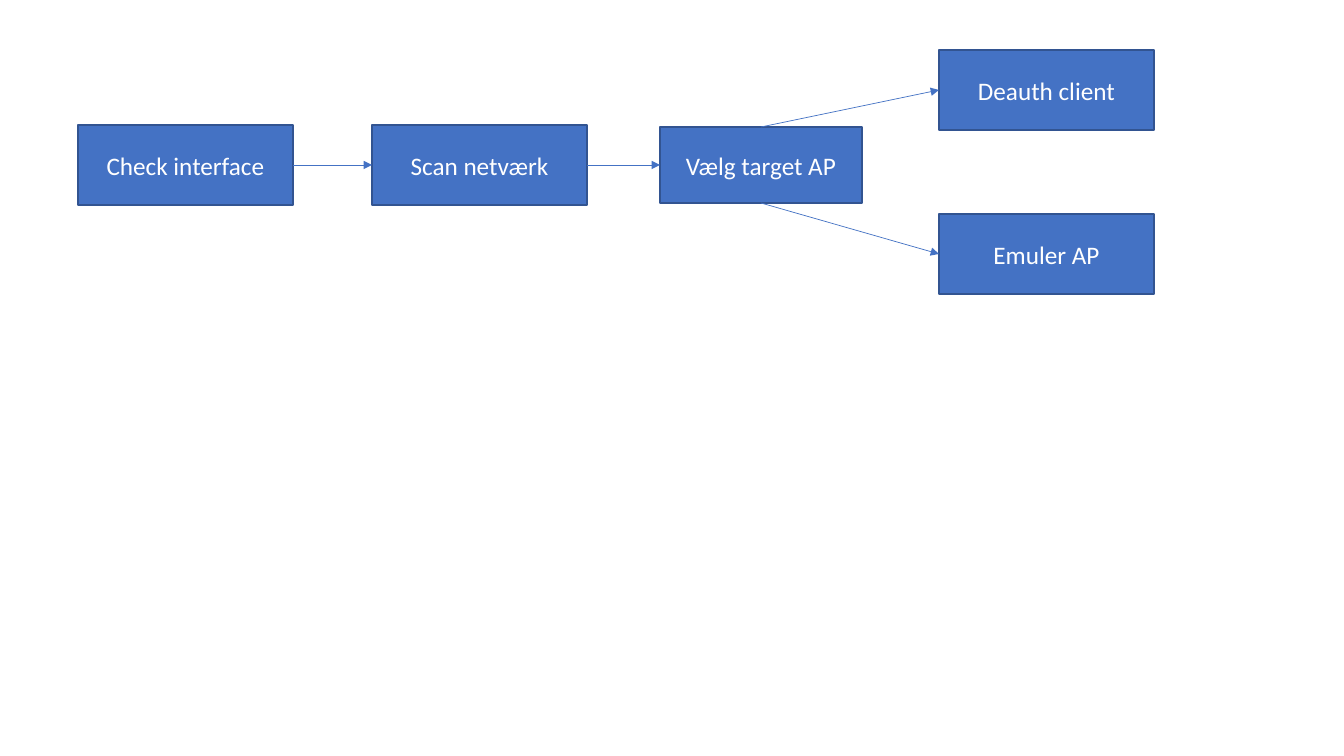
from pptx import Presentation
from pptx import util as u
from pptx.dml.color import RGBColor
from pptx.enum import shapes, text
from pptx.oxml.ns import qn
from lxml import etree

# Content: step -> left, top, width, height in pixels
STEPS = {
    "Check interface": (78, 125, 215, 80),
    "Scan netværk": (372, 125, 215, 80),
    "Vælg target AP": (660, 127, 202, 76),
    "Deauth client": (939, 50, 215, 80),
    "Emuler AP": (939, 214, 215, 80),
}
# Connection sites of a rectangle
TOP, LEFT, BOTTOM, RIGHT = range(4)
# Every arrow enters its target from the left
ARROWS = [
    ("Check interface", RIGHT, "Scan netværk"),
    ("Scan netværk", RIGHT, "Vælg target AP"),
    ("Vælg target AP", TOP, "Deauth client"),
    ("Vælg target AP", BOTTOM, "Emuler AP"),
]
BLUE, DARK_BLUE, WHITE = "4472C4", "325491", "FFFFFF"


def px(pixels):
    return u.Inches(pixels / 100.8)


def paint(color_format, color):
    color_format.rgb = RGBColor.from_string(color)


def add_step(slide, label, box):
    shape = slide.shapes.add_shape(shapes.MSO_SHAPE.RECTANGLE, *map(px, box))
    shape.shadow.inherit = False
    shape.fill.solid()
    paint(shape.fill.fore_color, BLUE)
    paint(shape.line.color, DARK_BLUE)
    shape.line.width = u.Pt(1)
    frame = shape.text_frame
    frame.word_wrap = True
    frame.vertical_anchor = text.MSO_ANCHOR.MIDDLE
    paragraph = frame.paragraphs[0]
    paragraph.text = label
    paragraph.alignment = text.PP_ALIGN.CENTER
    paragraph.font.name = "Calibri"
    paragraph.font.size = u.Pt(18)
    paint(paragraph.font.color, WHITE)
    return shape


def add_arrow(slide, source, site, target):
    connector = slide.shapes.add_connector(shapes.MSO_CONNECTOR.STRAIGHT, 0, 0, 0, 0)
    connector.begin_connect(source, site)
    connector.end_connect(target, LEFT)
    paint(connector.line.color, BLUE)
    connector.line.width = u.Pt(0.5)
    etree.SubElement(connector.line._get_or_add_ln(), qn("a:tailEnd"), type="triangle")
    etree.SubElement(connector._element.spPr, qn("a:effectLst"))


presentation = Presentation()
presentation.slide_width, presentation.slide_height = px(1344), px(756)
slide = presentation.slides.add_slide(presentation.slide_layouts[6])

# Steps, then the arrows that join them
steps = {label: add_step(slide, label, box) for label, box in STEPS.items()}
for source, site, target in ARROWS:
    add_arrow(slide, steps[source], site, steps[target])

presentation.save("out.pptx")
